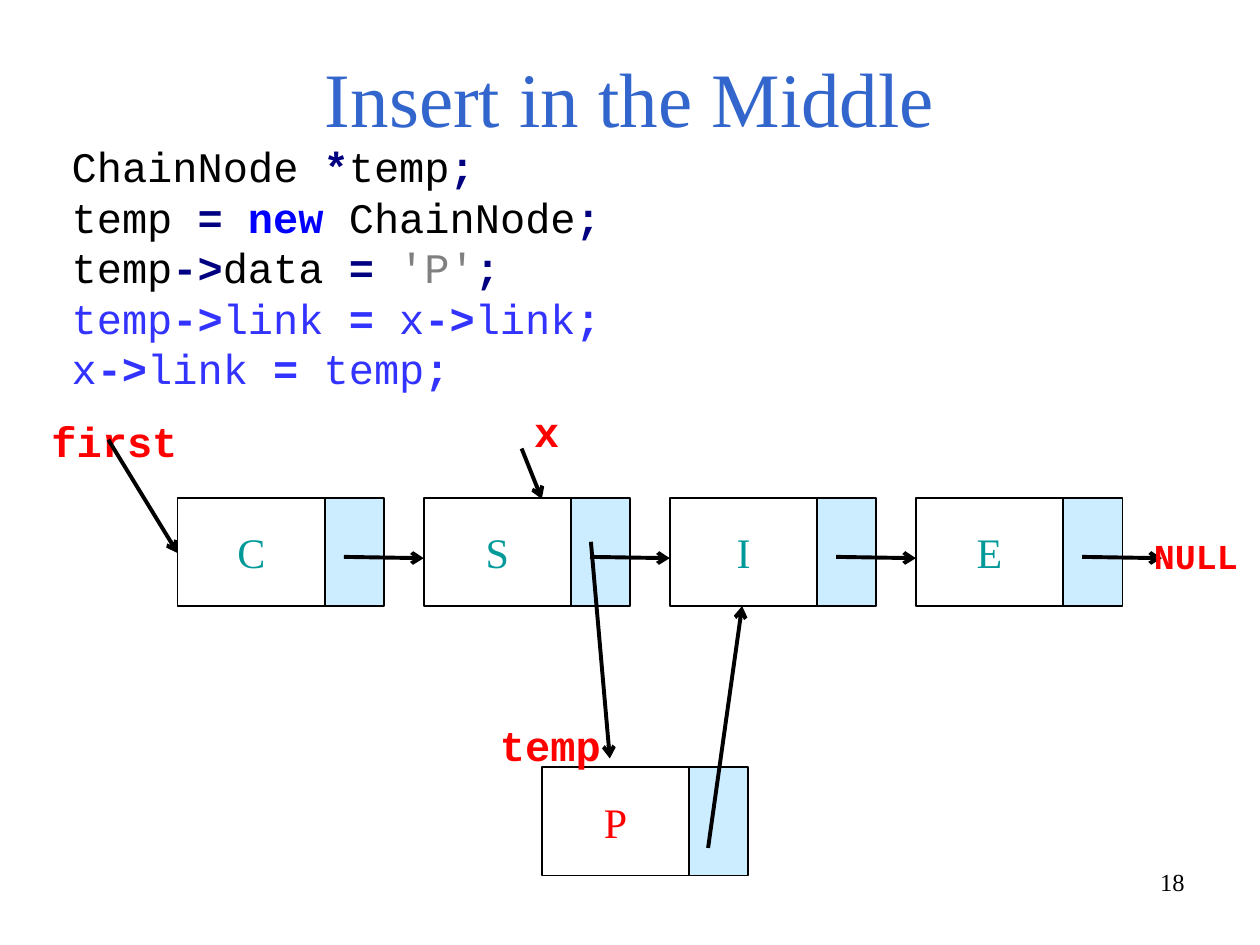
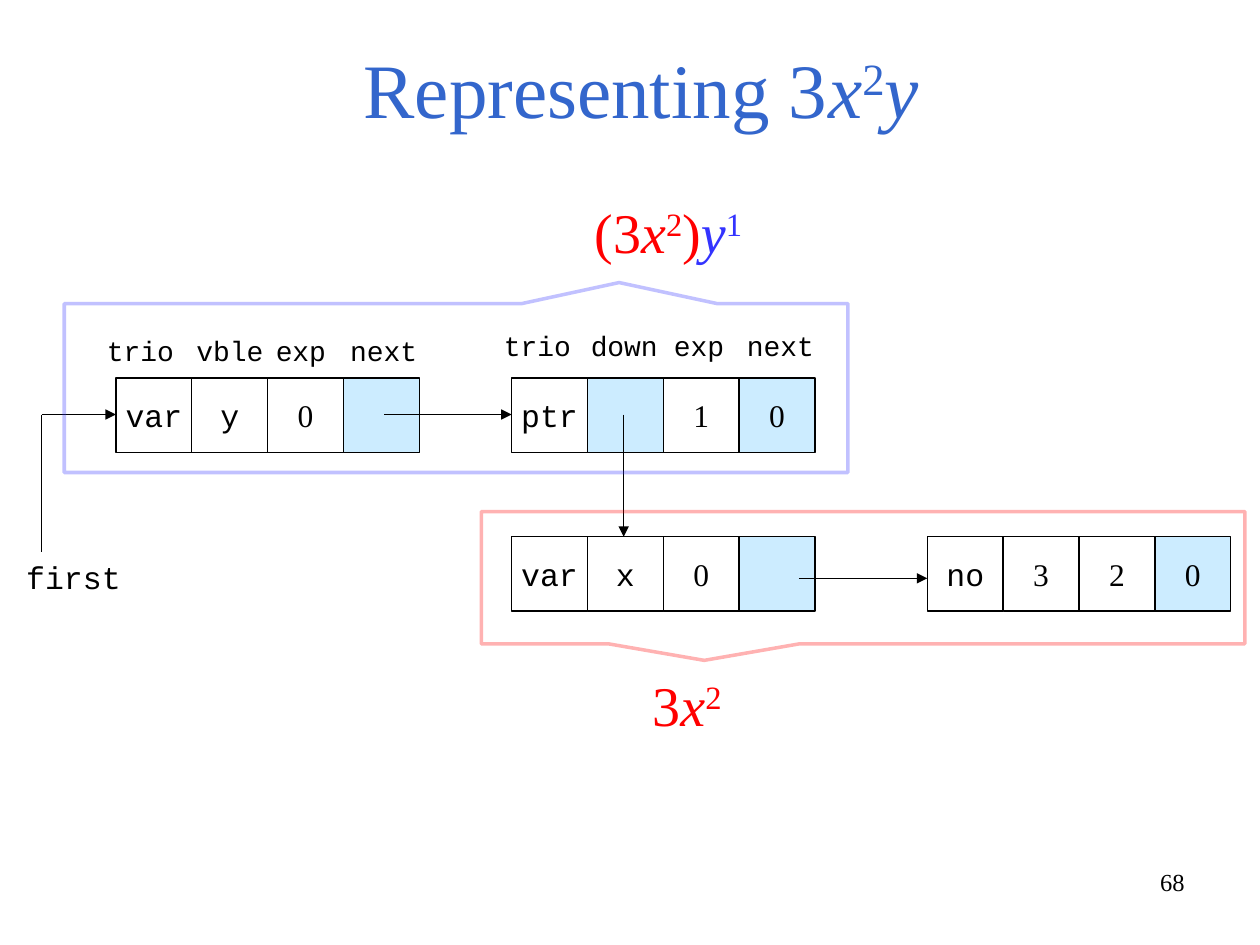
from typing import NamedTuple, Sequence

import pptx
import pptx.dml.color
import pptx.enum.shapes
import pptx.enum.text
import pptx.oxml.ns
import pptx.util
from lxml import etree

RGBColor = pptx.dml.color.RGBColor
Pt = pptx.util.Pt
ALIGN = pptx.enum.text.PP_ALIGN
ANCHOR = pptx.enum.text.MSO_ANCHOR
SHAPE = pptx.enum.shapes.MSO_SHAPE
qn = pptx.oxml.ns.qn

# Shared look
BLACK = RGBColor(0x00, 0x00, 0x00)
TITLE_BLUE = RGBColor(0x33, 0x66, 0xCC)
LINK_FILL = RGBColor(0xCC, 0xEC, 0xFF)
TEAL = RGBColor(0x00, 0x99, 0x99)
RED = RGBColor(0xFF, 0x00, 0x00)
BLUE = RGBColor(0x33, 0x33, 0xFF)
NAVY = RGBColor(0x00, 0x00, 0x80)
KEYWORD = RGBColor(0x00, 0x00, 0xFF)
GRAY = RGBColor(0x80, 0x80, 0x80)
SERIF, MONO = "Times New Roman", "Courier New"

# Grid: 100 columns by 75 rows
prs = pptx.Presentation()
prs.slide_width, prs.slide_height = pptx.util.Inches(10), pptx.util.Inches(7.5)
COL, ROW = prs.slide_width / 100, prs.slide_height / 75


class Box(NamedTuple):
    col: float
    row: float
    cols: float
    rows: float

    def emu(self) -> list[int]:
        return [round(n * unit) for n, unit in zip(self, (COL, ROW, COL, ROW))]


class Run(NamedTuple):
    text: str
    color: RGBColor = BLACK
    bold: bool = False
    italic: bool = False
    raised: bool = False


class Arrow(NamedTuple):
    col: float
    row: float
    to_col: float
    to_row: float
    head: str = "arrow"
    width: float = 2.25


class Label(NamedTuple):
    text: str
    box: Box
    size: float


class Record(NamedTuple):
    col: float
    row: float
    cells: Sequence[str]
    links: Sequence[int]  # positions of the pointer cells


# Drawing helpers
def write(sp, lines: Sequence[Sequence[Run]], size: float, font: str,
          align=ALIGN.LEFT, anchor=ANCHOR.TOP, wrap: bool = False) -> None:
    tf = sp.text_frame
    tf.word_wrap = wrap
    tf.vertical_anchor = anchor
    for i, line in enumerate(lines):
        p = tf.add_paragraph() if i else tf.paragraphs[0]
        p.alignment = align
        for run in line:
            r = p.add_run()
            r.text = run.text
            r.font.name, r.font.size = font, Pt(size)
            r.font.bold, r.font.italic = run.bold, run.italic
            r.font.color.rgb = run.color
            if run.raised:
                r._r.get_or_add_rPr().set("baseline", "30000")


def add_text(slide, box: Box, lines: Sequence[Sequence[Run]], size: float,
             font: str, **style) -> None:
    write(slide.shapes.add_textbox(*box.emu()), lines, size, font, **style)


def add_outline(slide, box: Box, line: RGBColor, width: float,
                fill: RGBColor | None = None, kind=SHAPE.RECTANGLE):
    sp = slide.shapes.add_shape(kind, *box.emu())
    sp.shadow.inherit = False
    if fill is None:
        sp.fill.background()
    else:
        sp.fill.solid()
        sp.fill.fore_color.rgb = fill
    sp.line.color.rgb = line
    sp.line.width = Pt(width)
    return sp


def add_arrow(slide, arrow: Arrow) -> None:
    ends = Box(arrow.col, arrow.row, arrow.to_col, arrow.to_row).emu()
    cx = slide.shapes.add_connector(pptx.enum.shapes.MSO_CONNECTOR.STRAIGHT, *ends)
    cx.line.color.rgb = BLACK
    cx.line.width = Pt(arrow.width)
    if arrow.head:
        etree.SubElement(cx.line._get_or_add_ln(), qn("a:tailEnd"), type=arrow.head)
    etree.SubElement(cx._element.spPr, qn("a:effectLst"))


def add_callout(slide, box: Box, color: RGBColor, rotation: float = 0) -> None:
    sp = add_outline(slide, box, color, 2, kind=SHAPE.RECTANGULAR_CALLOUT)
    sp.adjustments[0], sp.adjustments[1] = -0.208, 0.625
    sp.rotation = rotation
    tint = sp.line._get_or_add_ln().find(".//" + qn("a:srgbClr"))
    etree.SubElement(tint, qn("a:alpha"), val="30000")


def start_slide(title: Sequence[Run], box: Box, anchor, number: int):
    slide = prs.slides.add_slide(prs.slide_layouts[6])
    add_text(slide, Box(71.7, 68.3, 23.3, 5.2), [[Run(str(number))]], 14, SERIF,
             align=ALIGN.RIGHT, wrap=True)
    add_text(slide, box, [title], 44, SERIF, align=ALIGN.CENTER, anchor=anchor,
             wrap=True)
    return slide


# Linked list slide
NODE_ROW, NODE_ROWS, NODE_PITCH = 39.5, 8.6, 19.53
FIRST_NODE = 14.1
DATA_COLS, LINK_COLS = 11.7, 4.7


def op(text: str) -> Run:
    return Run(text, NAVY, bold=True)


def new(text: str, bold: bool = False) -> Run:
    return Run(text, BLUE, bold)


CODE = [
    [Run("ChainNode "), op("*"), Run("temp"), op(";")],
    [Run("temp "), op("= "), Run("new", KEYWORD, True), Run(" ChainNode"), op(";")],
    [Run("temp"), op("->"), Run("data "), op("= "), Run("'P'", GRAY), op(";")],
    [new("temp"), new("->", True), new("link "), new("=", True), new(" x"),
     new("->", True), new("link"), new(";", True)],
    [new("x"), new("->", True), new("link "), new("=", True), new(" temp"),
     new(";", True)],
]
POINTER_NAMES = [
    Label("first", Box(3.1, 32.5, 12, 5), 24),
    Label("NULL", Box(90.6, 41.9, 9.8, 4.4), 20),
    Label("x", Box(41.4, 31.7, 4, 5), 24),
    Label("temp", Box(38.7, 56.6, 10, 5), 24),
]
POINTERS = [
    Arrow(8.6, 34.9, 14.1, 43.9),
    Arrow(56.2, 67.3, 58.9, 48.1),
    Arrow(46.9, 43, 48.4, 60.2),
    Arrow(41.4, 35.6, 43, 39.6),
]


def add_node(slide, col: float, row: float, letter: str, color: RGBColor) -> None:
    add_outline(slide, Box(col + DATA_COLS, row, LINK_COLS, NODE_ROWS), BLACK, 1,
                LINK_FILL)
    sp = add_outline(slide, Box(col, row, DATA_COLS, NODE_ROWS), BLACK, 1)
    write(sp, [[Run(letter, color)]], 24, SERIF, ALIGN.CENTER, ANCHOR.MIDDLE)


def build_insert_slide() -> None:
    slide = start_slide([Run("Insert in the Middle", TITLE_BLUE)],
                        Box(5, 1.4, 90, 12.5), ANCHOR.MIDDLE, 18)
    add_text(slide, Box(4.7, 10.7, 90, 48), CODE, 24, MONO, wrap=True)
    for i, letter in enumerate("CSIE"):
        col = FIRST_NODE + i * NODE_PITCH
        add_node(slide, col, NODE_ROW, letter, TEAL)
        add_arrow(slide, Arrow(col + 13.2, 44.2, col + NODE_PITCH, 44.3))
    add_node(slide, 43, 60.9, "P", RED)
    for name in POINTER_NAMES:
        add_text(slide, name.box, [[Run(name.text, RED, True)]], name.size, MONO)
    for pointer in POINTERS:
        add_arrow(slide, pointer)


# Polynomial slide
CELL_COLS, CELL_ROWS = 6.02, 5.9
TOP_ROW, LOW_ROW = 30, 42.6
RECORDS = [
    Record(9.2, TOP_ROW, ("var", "y", "0", ""), (3,)),
    Record(40.6, TOP_ROW, ("ptr", "", "1", "0"), (1, 3)),
    Record(40.6, LOW_ROW, ("var", "x", "0", ""), (3,)),
    Record(73.6, LOW_ROW, ("no", "3", "2", "0"), (3,)),
]
FIELD_NAMES = {
    26: [("trio", 7.5), ("vble", 14.6), ("exp", 20.9), ("next", 26.8)],
    25.6: [("trio", 39), ("down", 45.9), ("exp", 52.5), ("next", 58.3)],
}
LINKS = [
    Arrow(30.5, 32.9, 40.6, 32.9, "triangle", 0.75),
    Arrow(63.4, 45.9, 73.6, 45.9, "triangle", 0.75),
    Arrow(49.5, 32.9, 49.5, 42.6, "triangle", 0.75),
    Arrow(3.3, 43.8, 3.3, 32.9, "", 0.75),
    Arrow(3.3, 32.9, 9.2, 32.9, "triangle", 0.75),
]


def power(base: str, exponent: str, color: RGBColor) -> list[Run]:
    return [Run(base, color, italic=True), Run(exponent, color, raised=True)]


def add_record(slide, record: Record) -> None:
    for i, value in enumerate(record.cells):
        box = Box(record.col + i * CELL_COLS, record.row, CELL_COLS, CELL_ROWS)
        sp = add_outline(slide, box, BLACK, 0.75,
                         LINK_FILL if i in record.links else None)
        if value:
            write(sp, [[Run(value)]], 18, SERIF if value.isdigit() else MONO,
                  ALIGN.CENTER, ANCHOR.MIDDLE)


def build_polynomial_slide() -> None:
    title = [Run("Representing 3", TITLE_BLUE), *power("x", "2", TITLE_BLUE),
             Run("y", TITLE_BLUE, italic=True)]
    slide = start_slide(title, Box(7.5, 2.3, 86.8, 8.8), ANCHOR.BOTTOM, 68)
    for record in RECORDS:
        add_record(slide, record)
    for link in LINKS:
        add_arrow(slide, link)
    add_text(slide, Box(1.1, 43.8, 10.3, 4), [[Run("first")]], 18, MONO)
    for row, names in FIELD_NAMES.items():
        for name, col in names:
            add_text(slide, Box(col, row, 8.2, 3.7), [[Run(name)]], 16, MONO)

    # Brackets with the terms they stand for
    add_callout(slide, Box(38.2, 40.6, 60.6, 10.5), RED)
    add_text(slide, Box(50.8, 52.7, 7.5, 6.4),
             [[Run("3", RED), *power("x", "2", RED)]], 32, SERIF)
    add_callout(slide, Box(5.1, 24.1, 62.2, 13.4), BLUE, rotation=180)
    add_text(slide, Box(46.2, 15.2, 13.7, 6.4),
             [[Run("(3", RED), *power("x", "2", RED), Run(")", RED),
               *power("y", "1", BLUE)]], 32, SERIF)


if __name__ == "__main__":
    build_insert_slide()
    build_polynomial_slide()
    prs.save("out.pptx")
